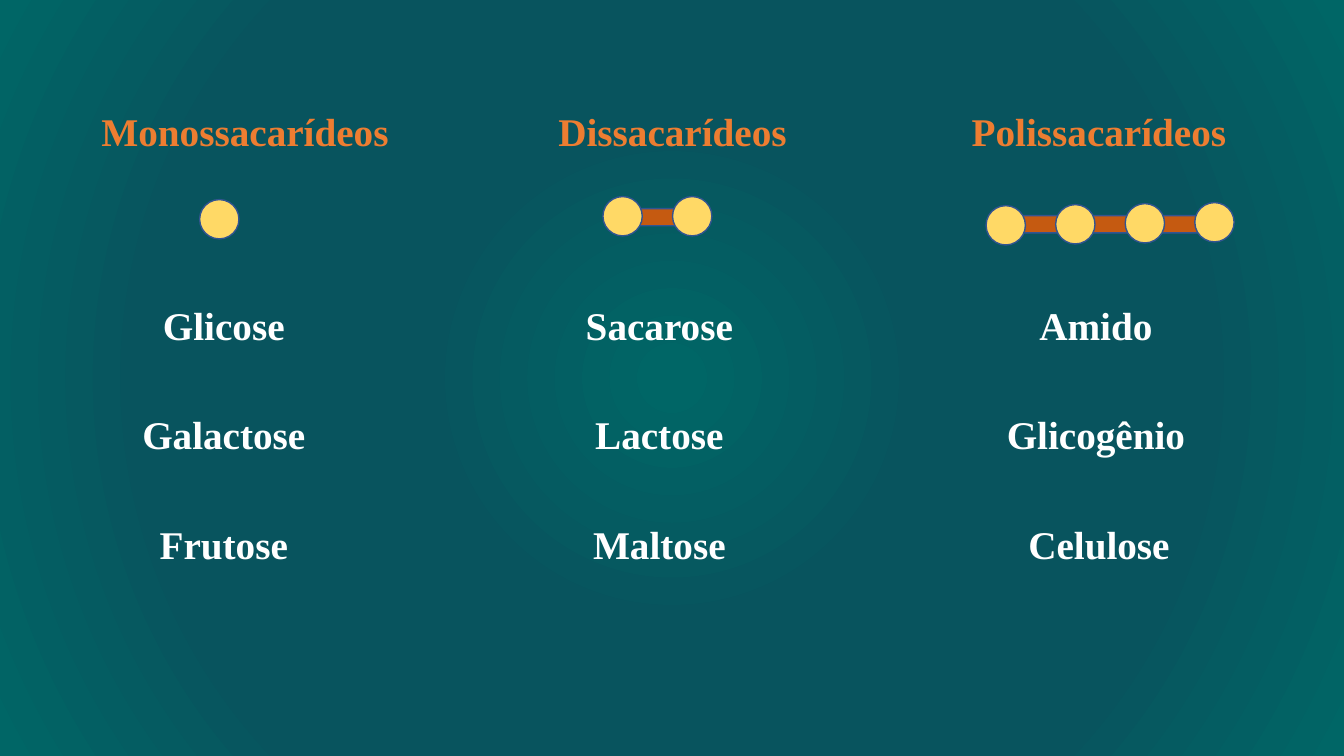
"""Build a slide that compares three groups of sugars."""
from lxml import etree
from pptx import Presentation
from pptx.dml.color import RGBColor
from pptx.enum.shapes import MSO_SHAPE
from pptx.enum.text import MSO_AUTO_SIZE, PP_ALIGN
from pptx.oxml.ns import qn
from pptx.util import Inches, Pt

OVAL = MSO_SHAPE.OVAL
PILL = MSO_SHAPE.ROUNDED_RECTANGLE
CENTER = PP_ALIGN.CENTER
GROW = MSO_AUTO_SIZE.SHAPE_TO_FIT_TEXT
FONT = "Times New Roman"
COLORS = {
    "edge": "006666", "deep": "08545E", "head": "ED7D31", "name": "FFFFFF",
    "bond": "C55A11", "sugar": "FFD966", "line": "325491",
}

deck = Presentation()
deck.slide_width = Inches(13.33)
deck.slide_height = Inches(7.5)
slide = deck.slides.add_slide(deck.slide_layouts[6])


def add_text(text, left, top, color="name", size=28, bold=True):
    box = slide.shapes.add_textbox(Inches(left), Inches(top), Inches(3.36), Inches(0.57))
    frame = box.text_frame
    frame.word_wrap = True
    frame.auto_size = GROW
    para = frame.paragraphs[0]
    para.alignment = CENTER
    run = para.add_run()
    run.text = text
    run.font.name = FONT
    run.font.size = Pt(size)
    run.font.bold = bold
    run.font.color.rgb = RGBColor.from_string(COLORS[color])


def add_part(kind, left, top, width, height, color):
    part = slide.shapes.add_shape(kind, Inches(left), Inches(top), Inches(width), Inches(height))
    part.shadow.inherit = False
    part.fill.solid()
    part.fill.fore_color.rgb = RGBColor.from_string(COLORS[color])
    part.line.color.rgb = RGBColor.from_string(COLORS["line"])
    part.line.width = Pt(1)
    return part


slide.background.fill.gradient()
grad = slide.element.find(".//" + qn("a:gradFill"))
for child in list(grad):
    grad.remove(child)
stops = etree.SubElement(grad, qn("a:gsLst"))
for place, color in [(1, "edge"), (33, "deep"), (68, "deep"), (100, "edge")]:
    stop = etree.SubElement(stops, qn("a:gs"), pos=str(place * 1000))
    etree.SubElement(stop, qn("a:srgbClr"), val=COLORS[color])
shade = etree.SubElement(grad, qn("a:path"), path="circle")
etree.SubElement(shade, qn("a:fillToRect"), l="50000", t="50000", r="50000", b="50000")

for left, top, width in [(9.99, 2.14, 2.09), (6.18, 2.07, 0.73)]:
    bond = add_part(PILL, left, top, width, 0.17, "bond")
    bond.adjustments[0] = 0.5

rows = [
    (1.02, "head", (0.75, 4.99, 9.22), ("Monossacarídeos", "Dissacarídeos", "Polissacarídeos")),
    (2.94, "name", (0.54, 4.86, 9.19), ("Glicose", "Sacarose", "Amido")),
    (4.02, "name", (0.54, 4.86, 9.19), ("Galactose", "Lactose", "Glicogênio")),
    (5.11, "name", (0.54, 4.86, 9.22), ("Frutose", "Maltose", "Celulose")),
]
for top, color, lefts, words in rows:
    for left, word in zip(lefts, words):
        add_text(word, left, top, color=color)

for left, top, count, rise in [(1.98, 1.98, 1, 0), (5.98, 1.95, 2, 0), (9.78, 2.04, 4, 0.01)]:
    for i in range(count):
        add_part(OVAL, left + 0.69 * i, top - rise * i, 0.39, 0.39, "sugar")

deck.save("out.pptx")
